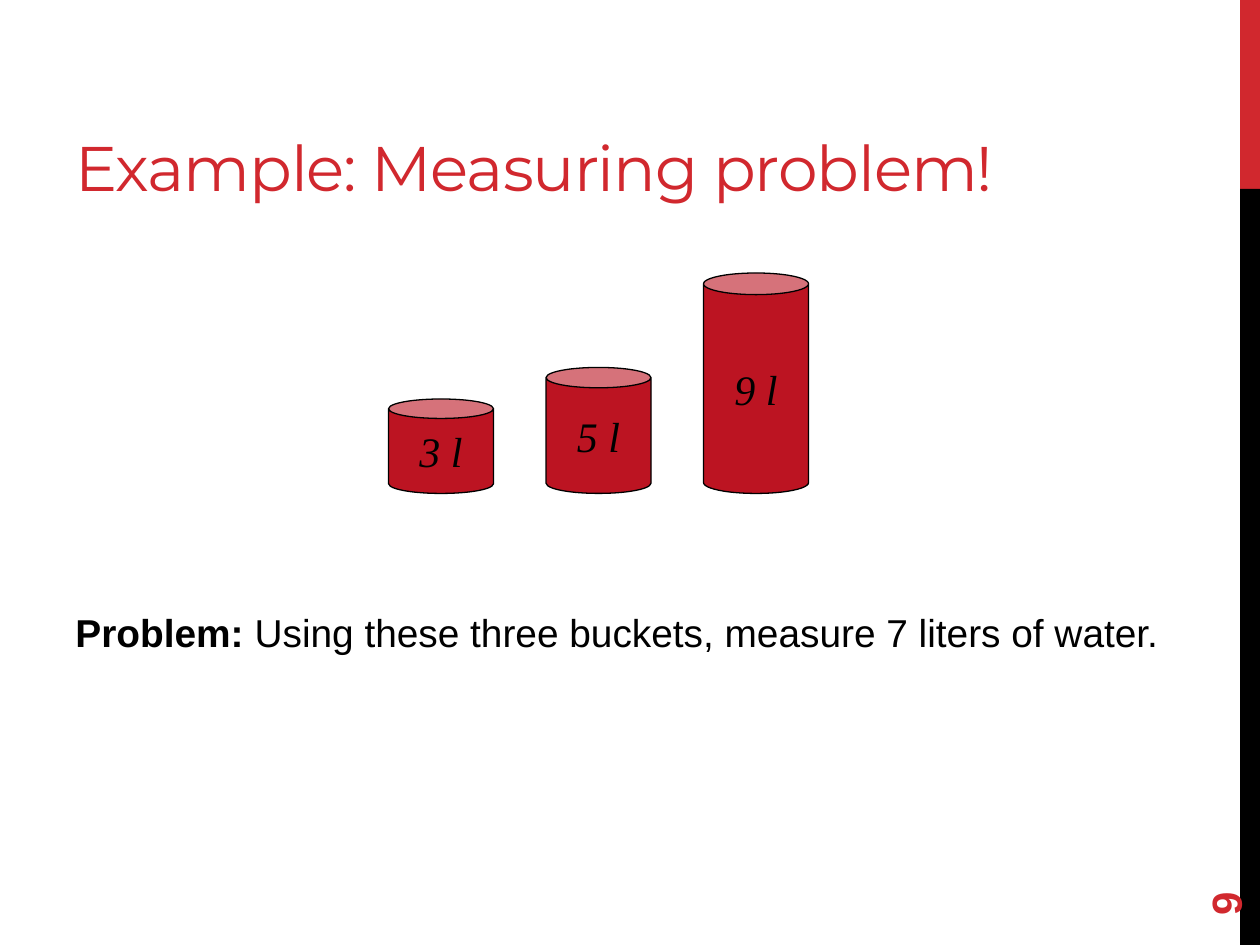
from pptx import Presentation
from pptx.dml.color import RGBColor
from pptx.enum.shapes import MSO_SHAPE
from pptx.enum.text import MSO_ANCHOR, PP_ALIGN
from pptx.util import Pt

COLORS = {"accent": "D1282E", "bucket": "BC1422", "ink": "000000"}
BUCKETS = [("3 l", 54, 0.206), ("5 l", 72, 0.194), ("9 l", 126, 0.206)]


def rgb(name):
    """Return the named palette colour."""
    return RGBColor.from_string(COLORS[name])


def style(r, size, font, color, bold=False, italic=False):
    """Format one run."""
    r.font.size = Pt(size)
    r.font.name = font
    r.font.bold = bold
    r.font.italic = italic
    r.font.color.rgb = rgb(color)


def add_filled(shapes, kind, box, color):
    """Add a flat filled shape without an outline."""
    sp = shapes.add_shape(kind, *map(Pt, box))
    sp.shadow.inherit = False
    sp.fill.solid()
    sp.fill.fore_color.rgb = rgb(color)
    sp.line.fill.background()
    return sp


def add_text(s, box, parts, size, font, color, anchor=MSO_ANCHOR.TOP):
    """Add a one-paragraph text box from (text, bold) parts."""
    sp = s.shapes.add_textbox(*map(Pt, box))
    tf = sp.text_frame
    tf.word_wrap = True
    tf.vertical_anchor = anchor
    for text, bold in parts:
        r = tf.paragraphs[0].add_run()
        r.text = text
        style(r, size, font, color, bold)
    return sp


def add_side_bar(s, x, y, w, h):
    """Add the edge bar, its top fifth in the accent colour."""
    top = h / 5
    add_filled(s.shapes, MSO_SHAPE.RECTANGLE, (x, y, w, top), "accent")
    add_filled(s.shapes, MSO_SHAPE.RECTANGLE, (x, y + top, w, h - top), "ink")


def add_title(s, x, y, w, h):
    """Add the slide title at the bottom of its box."""
    sp = add_text(s, (x, y, w, h), [("Example: Measuring problem!", False)],
                  36, "Montserrat", "accent", MSO_ANCHOR.BOTTOM)
    r = sp.text_frame.paragraphs[0].runs[0]
    r._r.get_or_add_rPr().set("spc", "-60")


def add_problem(s, x, y, w, h):
    """Add the problem statement."""
    parts = [("Problem: ", True),
             ("Using these three buckets, measure 7 liters of water.", False)]
    add_text(s, (x, y, w, h), parts, 22.2, "Arial", "ink")


def add_page_number(s, x, y, w, h):
    """Add the page number, turned to read upwards."""
    sp = add_text(s, (x, y, w, h), [("9", True)], 24, "Arial", "accent",
                  MSO_ANCHOR.MIDDLE)
    sp.rotation = 270


def add_buckets(s, x, y, w, h):
    """Add the labelled buckets, standing on the bottom of the box."""
    group = s.shapes.add_group_shape()
    width = w / 7
    for i, (label, height, rim) in enumerate(BUCKETS):
        box = (x + i * 3 * width, y + h - height, width * 2, height)
        sp = add_filled(group.shapes, MSO_SHAPE.CAN, box, "bucket")
        sp.adjustments[0] = rim
        sp.line.color.rgb = rgb("ink")
        sp.line.width = Pt(0.75)
        tf = sp.text_frame
        tf.text = label
        tf.word_wrap = False
        tf.vertical_anchor = MSO_ANCHOR.MIDDLE
        p = tf.paragraphs[0]
        p.alignment = PP_ALIGN.CENTER
        style(p.runs[0], 24, "Times New Roman", "ink", italic=True)


def main():
    """Build and save the slide."""
    prs = Presentation()
    prs.slide_width, prs.slide_height = Pt(720), Pt(540)
    s = prs.slides.add_slide(prs.slide_layouts[6])
    add_side_bar(s, 708.6, 0, 11.4, 540)
    add_title(s, 36, 12, 636, 108)
    add_problem(s, 36, 344, 644, 54)
    add_page_number(s, 648, 463.5, 104, 29)
    add_buckets(s, 222, 156, 210, 126)
    prs.save("out.pptx")


if __name__ == "__main__":
    main()
